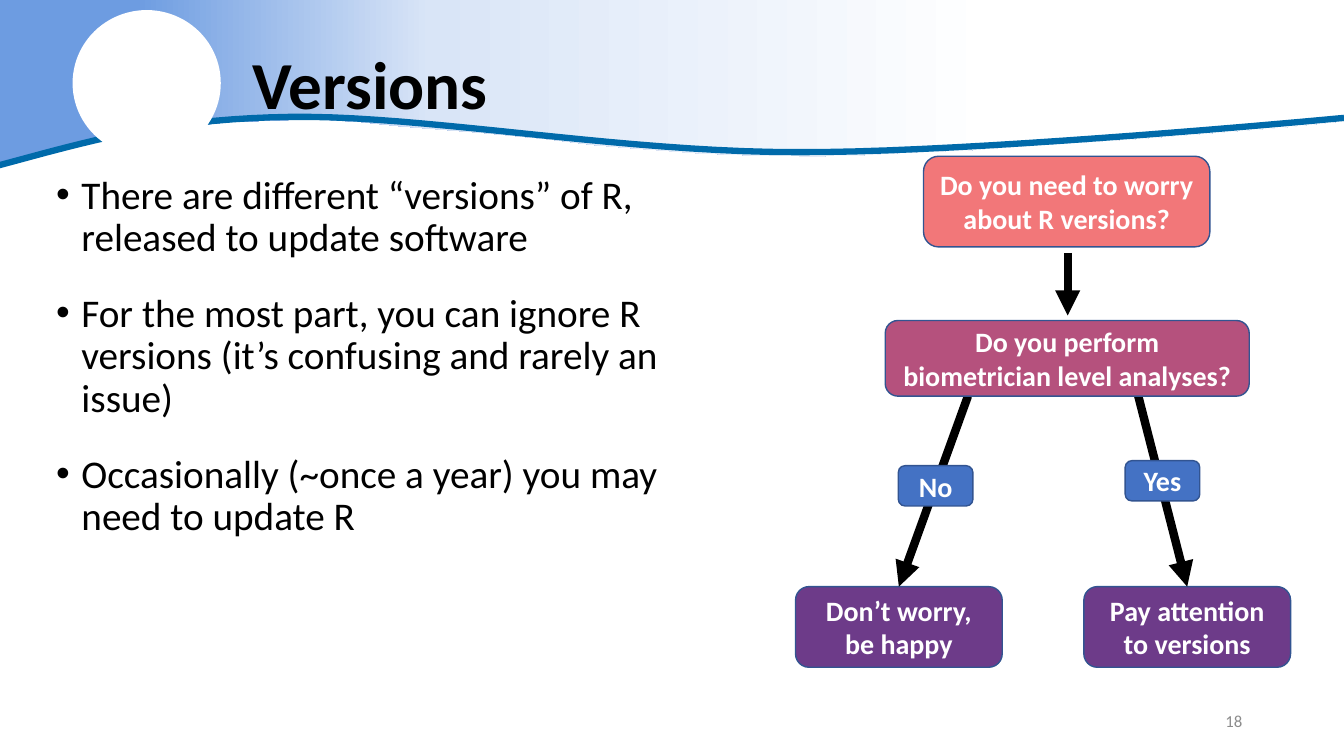
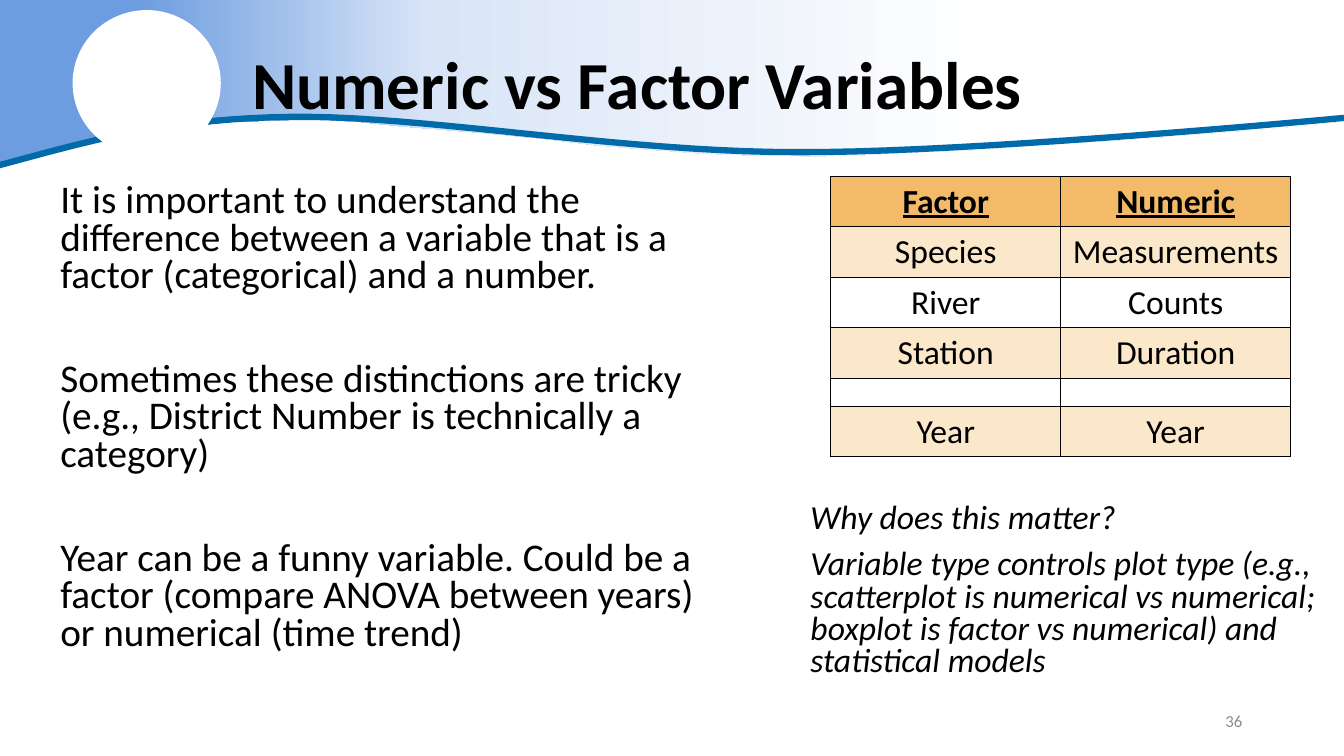
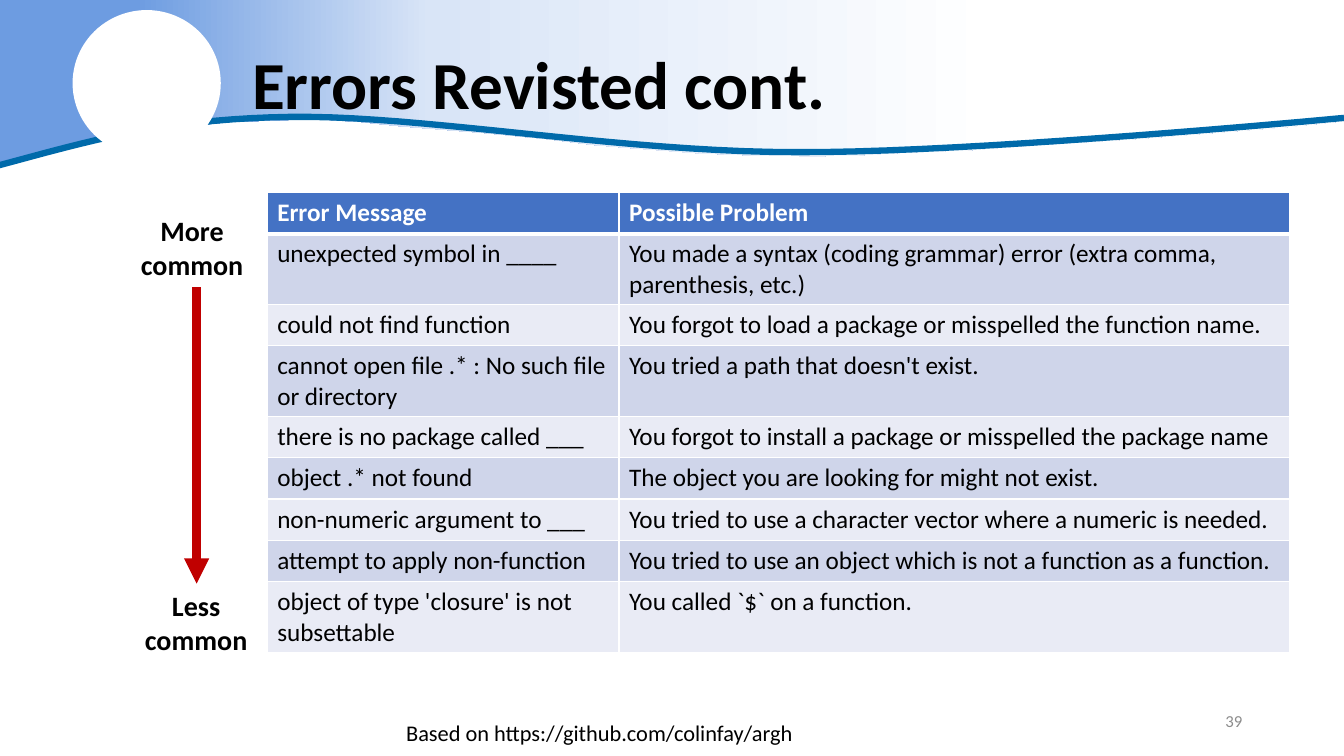
from copy import deepcopy

from lxml.etree import SubElement as Sub
from pptx import Presentation
from pptx.dml.color import RGBColor as Rgb
from pptx.enum.shapes import MSO_CONNECTOR as Link, MSO_SHAPE as Kind
from pptx.enum.text import MSO_ANCHOR as Anchor, MSO_AUTO_SIZE as Fit, PP_ALIGN as Align
from pptx.oxml.ns import qn
from pptx.util import Inches, Pt

FONT = "Calibri"
BLACK, WHITE, GREY = "000000", "FFFFFF", "8C8C8C"
BLUE, NAVY, WAVE, RED = "4472C4", "325491", "006AAA", "C00000"
CORAL, ROSE, PLUM = "F27779", "B5517D", "6D3B89"
FADE = [(0.10, "6D9CE1"), (0.32, "D9E5F7"), (0.74, WHITE)]

EDGE = [
    (13.34, 0), (13.34, 1.2), (12.77, 1.26), (11.89, 1.33), (11.25, 1.38), (10.26, 1.44),
    (9.62, 1.49), (9.03, 1.51), (8.54, 1.54), (8.08, 1.55), (7.42, 1.54), (6.92, 1.52),
    (6.4, 1.48), (5.91, 1.44), (5.43, 1.38), (4.81, 1.32), (3.95, 1.25), (3.58, 1.21),
    (3.26, 1.19), (2.88, 1.19), (2.28, 1.21), (1.9, 1.25), (1.36, 1.32), (0.86, 1.42),
    (0.44, 1.51), (0, 1.65),
]
CURVE = [
    [(-0.01, 1.64), (0.75, 1.44), (1.55, 1.18), (2.87, 1.16)],
    [(2.87, 1.16), (4.19, 1.14), (6.15, 1.51), (7.9, 1.51)],
    [(7.9, 1.51), (9.64, 1.52), (13.33, 1.17), (13.33, 1.17)],
]

POINTS = [
    "There are different “versions” of R, released to update software",
    "For the most part, you can ignore R versions (it’s confusing and rarely an issue)",
    "Occasionally (~once a year) you may need to update R",
]
START = ("Do you need to worry about R versions?", (9.16, 1.55, 2.84, 0.9), CORAL)
QUERY = ("Do you perform biometrician level analyses?", (8.78, 3.18, 3.61, 0.75), ROSE)
PATHS = [
    (("Don’t worry, be happy", (7.89, 5.82, 2.05, 0.8), PLUM),
     ("No", (8.91, 4.62, 0.74, 0.4), BLUE), 9.6),
    (("Pay attention to versions", (10.75, 5.82, 2.05, 0.8), PLUM),
     ("Yes", (11.16, 4.57, 0.74, 0.4), BLUE), 11.29),
]

NOTES = [
    "It is important to understand the difference between a variable that is a factor "
    "(categorical) and a number.",
    "Sometimes these distinctions are tricky (e.g., District Number is technically a category)",
    "Year can be a funny variable. Could be a factor (compare ANOVA between years) or "
    "numerical (time trend)",
]
WHY = [
    "Why does this matter?",
    "Variable type controls plot type (e.g., scatterplot is numerical vs numerical; "
    "boxplot is factor vs numerical) and statistical models",
]
TYPES = [
    ("Factor", "Numeric"),
    ("Species", "Measurements"),
    ("River", "Counts"),
    ("Station", "Duration"),
    ("", ""),
    ("Year", "Year"),
]

ERRORS = [
    ("Error Message", "Possible Problem"),
    ("unexpected symbol in ____",
     "You made a syntax (coding grammar) error (extra comma, parenthesis, etc.)"),
    ("could not find function",
     "You forgot to load a package or misspelled the function name."),
    ("cannot open file .* : No such file or directory", "You tried a path that doesn't exist."),
    ("there is no package called ___",
     "You forgot to install a package or misspelled the package name"),
    ("object .* not found", "The object you are looking for might not exist."),
    ("non-numeric argument to ___",
     "You tried to use a character vector where a numeric is needed."),
    ("attempt to apply non-function",
     "You tried to use an object which is not a function as a function."),
    ("object of type 'closure' is not subsettable", "You called `$` on a function."),
]
SOURCE = "Based on https://github.com/colinfay/argh"


def tint(code):
    return Rgb.from_string(code)


def inch(nums):
    return [Inches(n) for n in nums]


def write(frame, lines, size=20, color=BLACK, bold=False, italic=False, under=False,
          align=Align.LEFT, anchor=None, space=None, gap=0, bullet=False):
    frame.word_wrap = True
    if anchor is not None:
        frame.vertical_anchor = anchor
    for i, line in enumerate([lines] if isinstance(lines, str) else lines):
        para = frame.paragraphs[0] if i == 0 else frame.add_paragraph()
        if bullet:
            props = para._p.get_or_add_pPr()
            props.set("marL", str(Inches(0.25)))
            props.set("indent", str(-Inches(0.25)))
            Sub(props, qn("a:buFont"), typeface="Arial")
            Sub(props, qn("a:buChar"), char="•")
        para.alignment = align
        if space:
            para.line_spacing = space
        if i and gap:
            para.space_before = Pt(gap)
        run = para.add_run()
        run.text = line
        font = run.font
        font.name, font.size = FONT, Pt(size)
        font.bold, font.italic, font.underline = bold, italic, under
        font.color.rgb = tint(color)


def label(slide, lines, place, **style):
    box = slide.shapes.add_textbox(*inch(place))
    write(box.text_frame, lines, **style)


def paint(shape, fill=None, line=None, width=1):
    shape.shadow.inherit = False
    if fill:
        shape.fill.solid()
        shape.fill.fore_color.rgb = tint(fill)
    else:
        shape.fill.background()
    if line:
        shape.line.color.rgb = tint(line)
        shape.line.width = Pt(width)
    else:
        shape.line.fill.background()


def card(slide, text, place, fill):
    shape = slide.shapes.add_shape(Kind.ROUNDED_RECTANGLE, *inch(place))
    paint(shape, fill, NAVY)
    write(shape.text_frame, text, color=WHITE, bold=True, align=Align.CENTER,
          anchor=Anchor.MIDDLE)
    return shape


def arrow(slide, start, end, color=BLACK, goal=None):
    line = slide.shapes.add_connector(Link.STRAIGHT, *inch(start + end))
    line.line.color.rgb = tint(color)
    line.line.width = Pt(6)
    Sub(line.line._get_or_add_ln(), qn("a:tailEnd"), type="triangle")
    Sub(line.element.spPr, qn("a:effectLst"))
    if goal is not None:
        line.end_connect(goal, 0)


def outline(slide, dots, close):
    dots = [inch(dot) for dot in dots]
    pen = slide.shapes.build_freeform(*dots[0])
    pen.add_line_segments(dots[1:], close=close)
    return pen.convert_to_shape()


def bend(knots, steps=20):
    for i in range(steps + 1):
        t = i / steps
        parts = ((1 - t) ** 3, 3 * t * (1 - t) ** 2, 3 * t * t * (1 - t), t ** 3)
        yield tuple(sum(w * k[axis] for w, k in zip(parts, knots)) for axis in (0, 1))


def banner(layout, slide):
    band = outline(slide, [(0, 0)] + EDGE, True)
    paint(band)
    band.fill.gradient()
    first = band.fill.gradient_stops[0]._gs
    first.addnext(deepcopy(first))
    for stop, (spot, color) in zip(band.fill.gradient_stops, FADE):
        stop.position = spot
        stop.color.rgb = tint(color)
    band.fill.gradient_angle = 0
    wave = outline(slide, [dot for knots in CURVE for dot in bend(knots)], False)
    paint(wave, line=WAVE, width=4.5)
    disc = slide.shapes.add_shape(Kind.OVAL, *inch((0.72, 0.1, 1.47, 1.45)))
    paint(disc, WHITE)
    for i, shape in enumerate((band, wave, disc)):
        node = shape.element
        node.xpath(".//p:cNvPr")[0].set("id", str(20 + i))
        layout.shapes.element.insert(2 + i, node)


def page(deck, title, number):
    slide = deck.slides.add_slide(deck.slide_layouts[5])
    head = slide.shapes.title
    head.left, head.top, head.width, head.height = inch((2.4, 0.2, 10.02, 1.34))
    head.text_frame.auto_size = Fit.NONE
    write(head.text_frame, title, size=48, bold=True, anchor=Anchor.MIDDLE, space=0.9)
    label(slide, number, (9.42, 6.95, 3, 0.4), size=12, color=GREY,
          align=Align.RIGHT, anchor=Anchor.MIDDLE)
    return slide


def grid(slide, rows, place, cols, fills, edge, head, body, thick=1):
    table = slide.shapes.add_table(len(rows), len(cols), *inch(place)).table
    for col, width in zip(table.columns, cols):
        col.width = Inches(width)
    for r, row in enumerate(rows):
        for c, text in enumerate(row):
            cell = table.cell(r, c)
            props = cell._tc.get_or_add_tcPr()
            for side in ("L", "R", "T", "B"):
                heavy = (r, side) in ((0, "B"), (1, "T"))
                line = Sub(props, qn("a:ln" + side), w=str(Pt(thick if heavy else 1)))
                Sub(Sub(line, qn("a:solidFill")), qn("a:srgbClr"), val=edge)
            cell.fill.solid()
            cell.fill.fore_color.rgb = tint(fills[0] if r == 0 else fills[2 - r % 2])
            if text:
                write(cell.text_frame, text, **(body if r else head))
            else:
                Sub(cell.text_frame.paragraphs[0]._p, qn("a:endParaRPr"), sz="1000")
    return table


def main():
    deck = Presentation()
    deck.slide_width, deck.slide_height = inch((13.33, 7.5))

    slide = page(deck, "Versions", "18")
    banner(deck.slide_layouts[5], slide)
    label(slide, POINTS, (0.46, 1.69, 6.76, 5.66), size=28, space=0.9, gap=24, bullet=True)
    card(slide, *START)
    for end, tag, x in PATHS:
        goal = card(slide, *end)
        left, top, width, _ = end[1]
        arrow(slide, (x, 3.93), (left + width / 2, top), goal=goal)
        card(slide, *tag)
    arrow(slide, (10.59, 2.51), (10.59, 3.13))
    card(slide, *QUERY)

    slide = page(deck, "Numeric vs Factor Variables", "36")
    label(slide, NOTES, (0.5, 1.77, 6.53, 5.18), size=28, space=0.8, gap=47)
    body = dict(size=24, align=Align.CENTER)
    table = grid(slide, TYPES, (8.24, 1.75, 4.56, 2.8), (2.28, 2.28),
                 ("F3BB69", "FBE7C9", WHITE), BLACK, dict(body, bold=True, under=True), body)
    for row, cells in zip(table.rows, TYPES):
        row.height = Inches(0.5 if any(cells) else 0.28)
    label(slide, WHY, (7.94, 4.95, 5.39, 1.98), size=24, italic=True, space=0.8, gap=10)

    slide = page(deck, "Errors Revisted cont.", "39")
    body = dict(size=18, anchor=Anchor.MIDDLE)
    grid(slide, ERRORS, (2.65, 1.91, 10.14, 0.41 * len(ERRORS)), (3.49, 6.65),
         (BLUE, "CFD5EA", "E9EBF5"), WHITE, dict(size=18, bold=True, color=WHITE), body, 3)
    label(slide, SOURCE, (3.93, 7.09, 5.48, 0.37), size=16)
    arrow(slide, (1.95, 2.85), (1.95, 5.79), RED)
    for text, left, top in (("Less common", 1.2, 5.79), ("More common", 1.16, 2.07)):
        label(slide, text, (left, top, 1.49, 0.77), bold=True, align=Align.CENTER)

    deck.save("out.pptx")


if __name__ == "__main__":
    main()
